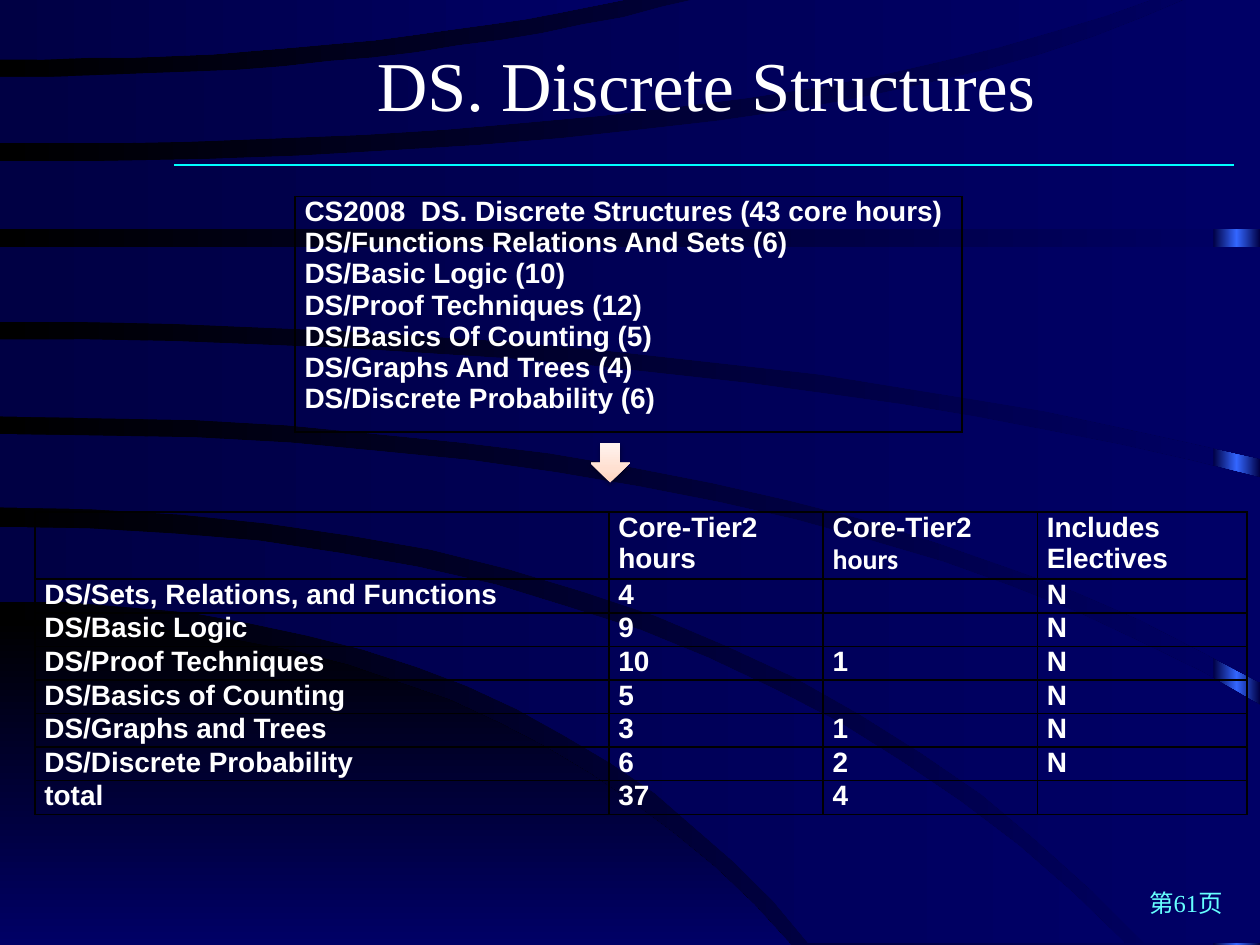
from copy import deepcopy

from lxml import etree
from pptx import Presentation, util as u
from pptx.dml.color import RGBColor
from pptx.enum import shapes, text
from pptx.oxml import parse_xml
from pptx.oxml.ns import nsdecls, qn

COLORS = {
    "black": "000000", "navy": "000066", "deep": "000044", "blue": "3366FF",
    "cyan": "00FFFF", "aqua": "66FFFF", "white": "FFFFFF",
    "peach": "FFD4BD", "blush": "FFE0D1", "cream": "FFF3EE",
}

WEDGE = (354, 288, 452, 540), [], (540, 226, 452, 540)

BANDS = [
    ((301, 410, 643, 539), [], (343.5, 303, 462, 539)),
    ((248, 462, 720, 403), [(720, 539)], (290, 423, 654, 539)),
    ((194, 406, 720, 273), [], (238, 454, 720, 390)),
    ((141, 360, 720, 141), [], (184, 400, 720, 262)),
    ((92, 482, 679, -1), [(720, -1)], (131, 360, 720, 131)),
    ((44, 226, 400, -1), [], (82, 444, 660, -1)),
    ((-1, 180, 361, -1), [], (34, 202, 361, -1)),
]

OLD_UNITS = """CS2008  DS. Discrete Structures (43 core hours)
DS/Functions Relations And Sets (6)
DS/Basic Logic (10)
DS/Proof Techniques (12)
DS/Basics Of Counting (5)
DS/Graphs And Trees (4)
DS/Discrete Probability (6)"""

NEW_UNITS = [
    ["", "Core-Tier2\nhours", "Core-Tier2\nhours", "Includes\nElectives"],
    ["DS/Sets, Relations, and Functions", "4", "", "N"],
    ["DS/Basic Logic", "9", "", "N"],
    ["DS/Proof Techniques", "10", "1", "N"],
    ["DS/Basics of Counting", "5", "", "N"],
    ["DS/Graphs and Trees", "3", "1", "N"],
    ["DS/Discrete Probability", "6", "2", "N"],
    ["total", "37", "4", ""],
]


def rgb(name):
    return RGBColor.from_string(COLORS[name])


def curve(start_y, bend_x, end_x, end_y, steps=16):
    points = []
    for i in range(steps + 1):
        t = i / steps
        points.append((2 * t * (1 - t) * bend_x + t * t * end_x,
                       start_y + t * t * (end_y - start_y)))
    return points


class Deck:
    serif, sans = "Times New Roman", "Arial"

    def __init__(self, width, height):
        self.prs = Presentation()
        self.prs.slide_width, self.prs.slide_height = u.Pt(width), u.Pt(height)
        self.s = self.prs.slides.add_slide(self.prs.slide_layouts[5])

    def gradient(self, fill, stops, angle=0):
        fill.gradient()
        fill.gradient_angle = -angle % 360
        first = fill.gradient_stops[0]._gs
        for _ in stops[2:]:
            first.addnext(deepcopy(first))
        for stop, (position, color) in zip(fill.gradient_stops, stops):
            stop.color.rgb = rgb(color)
            stop.position = position / 100

    def font(self, p, size, color, name, bold=False):
        p.font.size, p.font.name, p.font.bold = u.Pt(size), name, bold
        p.font.color.rgb = rgb(color)

    def paint(self, sp, stops, angle=0):
        sp.shadow.inherit = False
        sp.line.fill.background()
        self.gradient(sp.fill, stops, angle)
        return sp

    def shape(self, kind, box, stops, angle=0):
        sp = self.s.shapes.add_shape(kind, *map(u.Pt, box))
        return self.paint(sp, stops, angle)

    def band(self, upper, corners, lower, stops, angle=0):
        points = curve(*upper) + corners + curve(*lower)[::-1]
        builder = self.s.shapes.build_freeform(*points[0], scale=u.Pt(1))
        builder.add_line_segments(points[1:], close=True)
        self.paint(builder.convert_to_shape(), stops, angle)

    def soft_shadow(self, sp):
        effects = sp._element.spPr.find(qn("a:effectLst"))
        effects.append(parse_xml(
            f'<a:outerShdw {nsdecls("a")} blurRad="{u.Pt(3.1)}" dist="{u.Pt(1.6)}" '
            f'dir="5400000" rotWithShape="0"><a:srgbClr val="{COLORS["black"]}">'
            '<a:alpha val="38000"/></a:srgbClr></a:outerShdw>'))

    def rule(self, x1, x2, y):
        line = self.s.shapes.add_connector(
            shapes.MSO_CONNECTOR.STRAIGHT, u.Pt(x1), u.Pt(y), u.Pt(x2), u.Pt(y))
        line.line.color.rgb, line.line.width = rgb("cyan"), u.Pt(0.75)
        etree.SubElement(line._element.spPr, qn("a:effectLst"))

    def title(self, content, box):
        sp = self.s.shapes.title
        self.s.shapes._spTree.append(sp._element)
        sp.left, sp.top, sp.width, sp.height = map(u.Pt, box)
        tf = sp.text_frame
        tf.text, tf.vertical_anchor = content, text.MSO_ANCHOR.MIDDLE
        tf.paragraphs[0].alignment = text.PP_ALIGN.CENTER
        self.font(tf.paragraphs[0], 40, "white", self.serif)

    def label(self, content, box):
        tf = self.s.shapes.add_textbox(*map(u.Pt, box)).text_frame
        tf.word_wrap, tf.text = True, content
        tf.paragraphs[0].alignment = text.PP_ALIGN.RIGHT
        self.font(tf.paragraphs[0], 14, "aqua", self.serif)

    def cell(self, cell, content):
        cell.margin_left = cell.margin_right = u.Pt(5.4)
        cell.margin_top = cell.margin_bottom = 0
        cell.text = content
        for p in cell.text_frame.paragraphs:
            self.font(p, 16, "white", self.sans, True)
            if not content:
                p._p.get_or_add_endParaRPr().set("sz", "1600")
        cell.fill.background()
        for i, side in enumerate("LRTB"):
            cell._tc.tcPr.insert(i, parse_xml(
                f'<a:ln{side} {nsdecls("a")} w="{u.Pt(1)}"><a:solidFill>'
                f'<a:srgbClr val="{COLORS["black"]}"/></a:solidFill></a:ln{side}>'))

    def table(self, rows, left, top, widths, heights):
        table = self.s.shapes.add_table(
            len(rows), len(widths), u.Pt(left), u.Pt(top),
            u.Pt(sum(widths)), u.Pt(sum(heights))).table
        table.first_row = table.horz_banding = False
        for column, width in zip(table.columns, widths):
            column.width = u.Pt(width)
        for row, height, contents in zip(table.rows, heights, rows):
            row.height = u.Pt(height)
            for cell, content in zip(row.cells, contents):
                self.cell(cell, content)
        return table


def main():
    deck = Deck(720, 540)
    night = [(0, "black"), (100, "navy")]
    dusk = [(0, "deep"), (100, "navy")]
    deck.gradient(deck.s.background.fill, night)
    deck.shape(shapes.MSO_SHAPE.RECTANGLE, (693.4, 0, 26.6, 540),
               [(0, "deep"), (50, "blue"), (100, "deep")])
    deck.band(*WEDGE, night, 90)
    for band in BANDS:
        deck.band(*band, dusk)
    deck.rule(99.4, 705, 94.3)

    table = deck.table(NEW_UNITS, 20, 292.6, [328, 122.4, 122.4, 119.8],
                       [38.4] + [19.2] * 7)
    table.cell(0, 2).text_frame.paragraphs[1].font.name = "Calibri"
    deck.title("DS. Discrete Structures", (100, 13.7, 607, 67.7))
    deck.table([[OLD_UNITS]], 168.7, 112.3, [380.9], [134.6])
    arrow = deck.shape(shapes.MSO_SHAPE.DOWN_ARROW, (337.5, 253.4, 22.4, 22.4),
                       [(0, "peach"), (35, "blush"), (100, "cream")], 270)
    deck.soft_shadow(arrow)
    deck.label("第61页", (556, 504, 149.8, 26))
    deck.prs.save("out.pptx")


if __name__ == "__main__":
    main()
